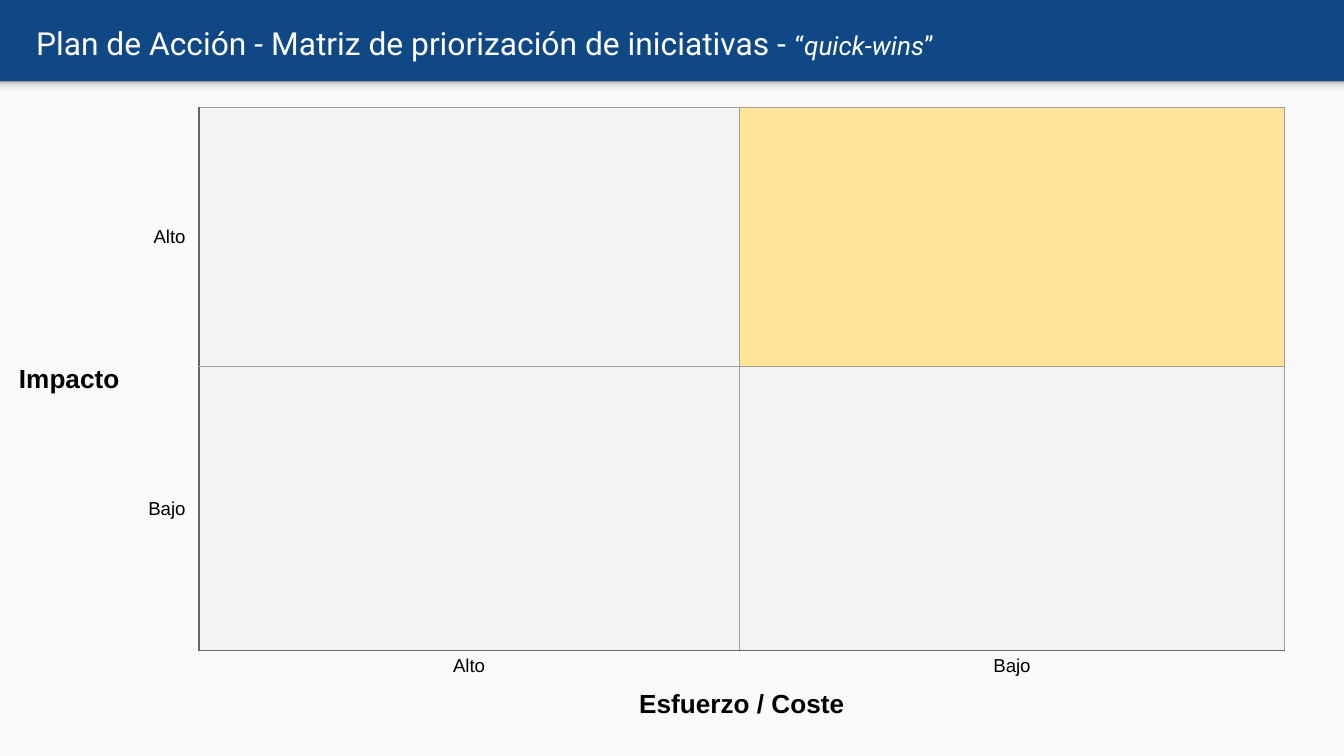
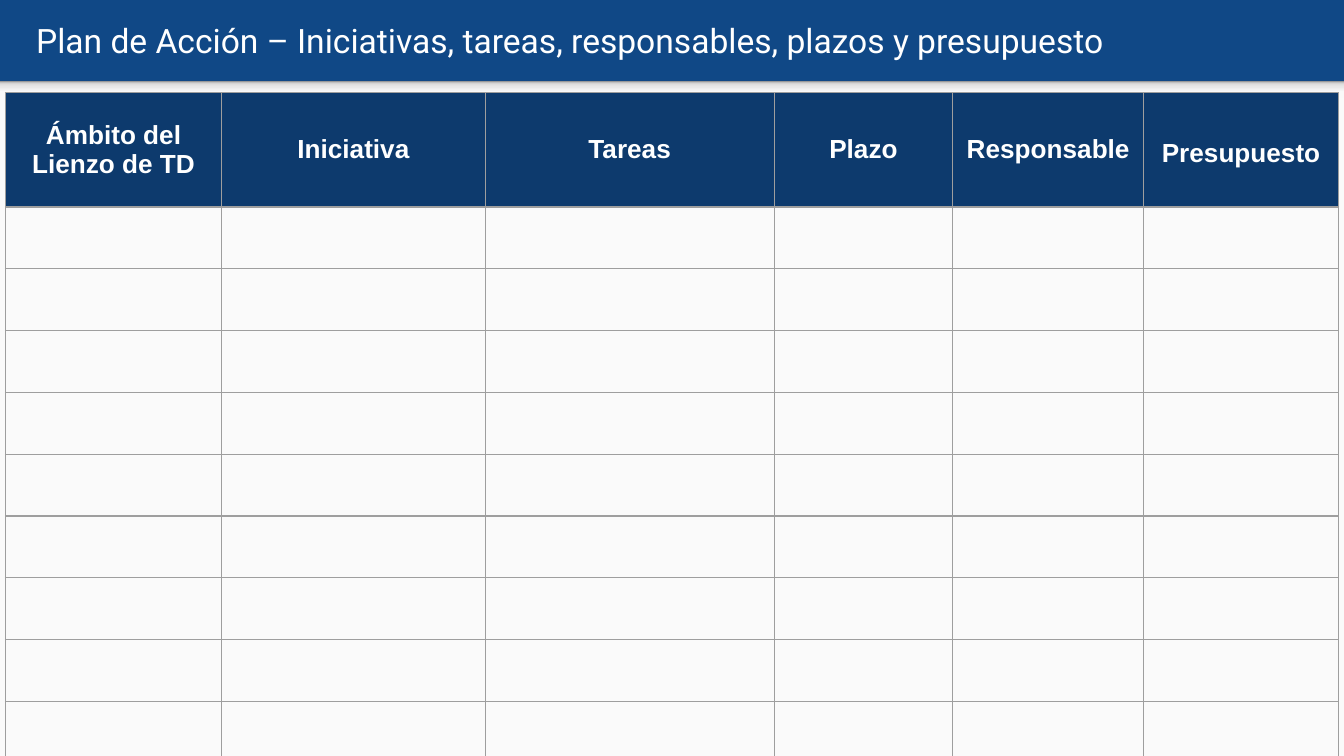
from dataclasses import dataclass

from lxml import etree
from pptx import Presentation
from pptx.dml.color import RGBColor
from pptx.enum.shapes import MSO_SHAPE
from pptx.enum.text import MSO_ANCHOR, PP_ALIGN
from pptx.oxml.ns import qn
from pptx.util import Inches, Pt

RECT = MSO_SHAPE.RECTANGLE
TOP, MIDDLE = MSO_ANCHOR.TOP, MSO_ANCHOR.MIDDLE
LEFT, CENTER, RIGHT = PP_ALIGN.LEFT, PP_ALIGN.CENTER, PP_ALIGN.RIGHT

# The grid: one column or row is a tenth of an inch.
COLS, ROWS = 100, 56.25
BAND_ROWS = 6


@dataclass(frozen=True)
class Theme:
    band: str = "104886"
    body: str = "FAFAFA"
    white: str = "FFFFFF"
    ink: str = "000000"
    header: str = "0D3A6D"
    quadrant: str = "F3F3F3"
    quick_win: str = "FFE599"
    rule: str = "9E9E9E"
    axis: str = "666666"
    shadow: tuple = ((0, "F9F9F9"), (36, "F9F9F9"), (80, "DEDEDE"), (100, "999999"))
    title_font: str = "Roboto"
    text_font: str = "Arial"
    title: int = 18
    long_title: int = 17
    heading: int = 14
    label: int = 10
    rule_width: float = 0.75


THEME = Theme()


def grid(n):
    return Inches(n / 10)


def write(p, text, size=THEME.label, color=THEME.ink, font=THEME.text_font,
          bold=False, italic=False):
    """Append one formatted run to a paragraph."""
    r = p.add_run()
    r.text = text
    r.font.size, r.font.name = Pt(size), font
    r.font.bold, r.font.italic = bold, italic
    r.font.color.rgb = RGBColor.from_string(color)


def set_margins(box, left, top, right, bottom):
    box.margin_left, box.margin_top = grid(left), grid(top)
    box.margin_right, box.margin_bottom = grid(right), grid(bottom)


def add_solid(parent, color):
    fill = etree.SubElement(parent, qn("a:solidFill"))
    etree.SubElement(fill, qn("a:srgbClr"), val=color)


class Deck:
    """Holds the theme, the presentation and the current slide."""

    def __init__(self, theme):
        self.theme = theme
        self.prs = Presentation()
        self.prs.slide_width, self.prs.slide_height = grid(COLS), grid(ROWS)
        fill = self.prs.slide_master.background.fill
        fill.solid()
        fill.fore_color.rgb = RGBColor.from_string(theme.band)
        self.s = None

    def new_slide(self):
        self.s = self.prs.slides.add_slide(self.prs.slide_layouts[6])
        self.rect(0, 6.9, COLS, ROWS - 6.9, self.theme.body)
        self.band_shadow()

    def rect(self, x, y, w, h, color):
        sp = self.s.shapes.add_shape(RECT, grid(x), grid(y), grid(w), grid(h))
        sp.shadow.inherit = False
        sp.line.fill.background()
        sp.fill.solid()
        sp.fill.fore_color.rgb = RGBColor.from_string(color)
        return sp

    def band_shadow(self):
        sp = self.rect(0, BAND_ROWS, COLS, 1.3, self.theme.body)
        sp.fill.gradient()
        sp.fill.gradient_angle = 90
        stops = sp.fill._fill._gradFill.find(qn("a:gsLst"))
        for gs in list(stops):
            stops.remove(gs)
        for pos, color in self.theme.shadow:
            gs = etree.SubElement(stops, qn("a:gs"), pos=str(pos * 1000))
            etree.SubElement(gs, qn("a:srgbClr"), val=color)

    def title(self, y, w, *runs):
        """Write the title on the band; each run is (text, format)."""
        sp = self.s.shapes.add_textbox(grid(1.7), grid(y), grid(w), grid(5.5))
        tf = sp.text_frame
        tf.word_wrap, tf.vertical_anchor = True, MIDDLE
        set_margins(tf, 1, 1, 1, 1)
        for text, fmt in runs:
            write(tf.paragraphs[0], text, color=self.theme.white,
                  font=self.theme.title_font, **fmt)

    def table(self, x, y, cols, rows):
        """Add a plain table whose cells start empty, unfilled and unruled."""
        frame = self.s.shapes.add_table(len(rows), len(cols), grid(x), grid(y),
                                        grid(sum(cols)), grid(sum(rows)))
        table = frame.table
        table.first_row = table.horz_banding = False
        for column, w in zip(table.columns, cols):
            column.width = grid(w)
        for row, h in zip(table.rows, rows):
            row.height = grid(h)
        for cell in table.iter_cells():
            set_margins(cell, 0, 0, 0, 0)
            cell.fill.background()
            self.borders(cell)
            etree.SubElement(cell.text_frame.paragraphs[0]._p, qn("a:endParaRPr"),
                             sz=str(self.theme.label * 100))
        return table

    def borders(self, cell, **colors):
        """Rule the sides named L, R, T, B; the other sides get no line."""
        tcPr = cell._tc.get_or_add_tcPr()
        for i, side in enumerate("LRTB"):
            old = tcPr.find(qn("a:ln" + side))
            if old is not None:
                tcPr.remove(old)
            ln = etree.Element(qn("a:ln" + side), w=str(Pt(self.theme.rule_width)))
            if side in colors:
                add_solid(ln, colors[side])
            else:
                etree.SubElement(ln, qn("a:noFill"))
            tcPr.insert(i, ln)

    def fill_cell(self, cell, color):
        cell.fill.solid()
        cell.fill.fore_color.rgb = RGBColor.from_string(color)

    def cell_text(self, cell, text, align=CENTER, anchor=MIDDLE,
                  margins=(0.5, 1, 0.5, 1), **fmt):
        set_margins(cell, *margins)
        cell.vertical_anchor = anchor
        p = cell.text_frame.paragraphs[0]
        p.alignment = align
        write(p, text, **fmt)


def priority_matrix(deck):
    t = deck.theme
    deck.new_slide()
    small = {"size": t.heading}
    deck.title(0.4, 79.6,
               ("Plan de Acción - Matriz de priorización de iniciativas - ",
                {"size": t.long_title}),
               ("“", small), ("quick-wins", {**small, "italic": True}), ("”", small))

    table = deck.table(0.4, 8, (9.5, 4.9, 40.2, 40.6), (19.3, 21.1, 2.9, 4.6))
    heading = {"size": t.heading, "bold": True}
    impact, effort = table.cell(0, 0), table.cell(3, 2)
    impact.merge(table.cell(1, 0))
    effort.merge(table.cell(3, 3))
    deck.cell_text(impact, "Impacto", **heading)
    deck.cell_text(effort, "Esfuerzo / Coste", anchor=TOP, margins=(0, 0, 0, 0),
                   **heading)

    for i, level in enumerate(("Alto", "Bajo")):
        row_label, col_label = table.cell(i, 1), table.cell(2, 2 + i)
        deck.cell_text(row_label, level, align=RIGHT, margins=(0.4, 1, 1, 1))
        deck.borders(row_label, R=t.axis)
        deck.cell_text(col_label, level, anchor=TOP, margins=(1, 0.4, 1, 0))
        deck.borders(col_label, T=t.axis)
        for j in range(2):
            quadrant = table.cell(i, 2 + j)
            is_quick_win = (i, j) == (0, 1)
            deck.fill_cell(quadrant, t.quick_win if is_quick_win else t.quadrant)
            deck.borders(quadrant, L=t.rule if j else t.axis, R=t.rule,
                         T=t.rule, B=t.axis if i else t.rule)


def action_plan(deck):
    t = deck.theme
    deck.new_slide()
    deck.title(0.2, 90.8,
               ("Plan de Acción – Iniciativas, tareas, responsables, plazos y presupuesto",
                {"size": t.title}))

    columns = {"Ámbito del Lienzo de TD": 16.1, "Iniciativa": 19.6, "Tareas": 21.5,
               "Plazo": 13.3, "Responsable": 14.2, "Presupuesto": 14.5}
    table = deck.table(0.4, 6.9, list(columns.values()), [8.5] + [4.6] * 9)
    for cell in table.iter_cells():
        deck.borders(cell, **dict.fromkeys("LRTB", t.rule))
    for cell, name in zip(table.rows[0].cells, columns):
        top = 1.6 if name == "Presupuesto" else 1
        deck.fill_cell(cell, t.header)
        deck.cell_text(cell, name, margins=(0.8, top, 0.8, 1), size=t.heading,
                       color=t.white, bold=True)


def main():
    deck = Deck(THEME)
    priority_matrix(deck)
    action_plan(deck)
    deck.prs.save("out.pptx")


if __name__ == "__main__":
    main()
